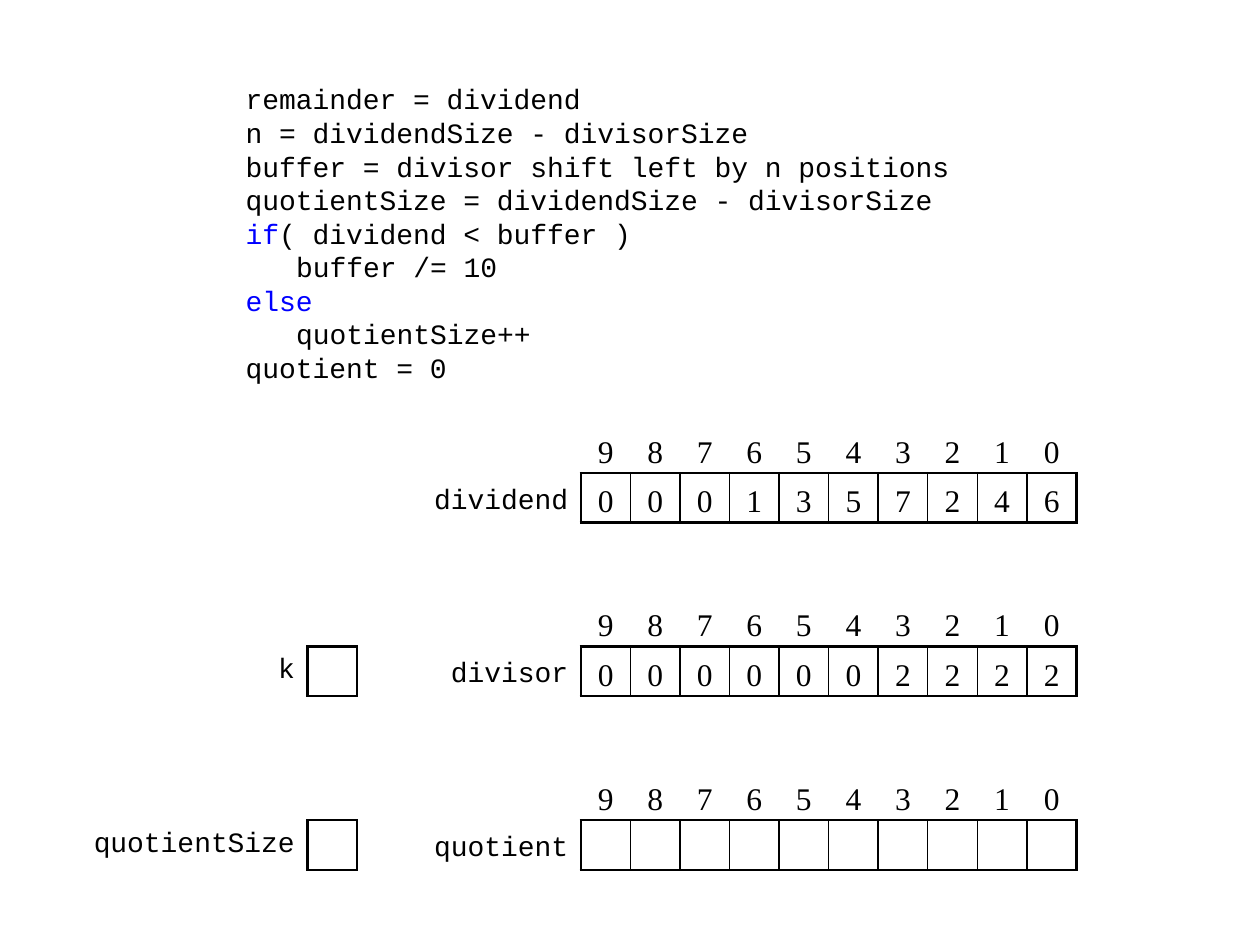
from lxml import etree
from pptx import Presentation
from pptx.dml.color import RGBColor
from pptx.enum.text import MSO_ANCHOR, PP_ALIGN
from pptx.oxml.ns import qn
from pptx.util import Inches, Pt

CENTER, RIGHT = PP_ALIGN.CENTER, PP_ALIGN.RIGHT
TOP, MIDDLE = MSO_ANCHOR.TOP, MSO_ANCHOR.MIDDLE
COLORS = {"ink": "000000", "keyword": "0000FF"}
CODE_FONT, DIGIT_FONT = "Courier New", "Times New Roman"
PLAIN_TABLE = "{2D5ABB26-0587-4C30-8999-92F81FD0307C}"

CELL = 1 / 2.54  # one centimetre, in inches
DIGITS = 10
THICK, THIN = 1.5, 1
REGISTER_LEFT, REGISTER_TOP, REGISTER_STEP = 4.61, 3.36, 3.5 * CELL
COUNTER_LEFT = 2.44

# Each line: indent level, keyword, remaining text
CODE = [
    (0, "", "remainder = dividend"),
    (0, "", "n = dividendSize - divisorSize"),
    (0, "", "buffer = divisor shift left by n positions"),
    (0, "", "quotientSize = dividendSize - divisorSize"),
    (0, "if", "( dividend < buffer )"),
    (1, "", "buffer /= 10"),
    (0, "else", ""),
    (1, "", "quotientSize++"),
    (0, "", "quotient = 0"),
]
# Each register: name, width of its name column, digits
REGISTERS = [
    ("dividend", 1.38, "0001357246"),
    ("divisor", 1.18, "0000002222"),
    ("quotient", 1.38, " " * DIGITS),
]
# Each counter: name, width of its name column, register it stands beside
COUNTERS = [("k", CELL, 1), ("quotientSize", 1.77, 2)]


def style_font(font, name, size, color="ink"):
    """Set face, size and colour of a font."""
    font.name, font.size = name, Pt(size)
    font.color.rgb = RGBColor.from_string(COLORS[color])


def add_code(page, left, top, width, height):
    """Fill the body placeholder with the listing."""
    body = page.placeholders[1]
    body.left, body.top = Inches(left), Inches(top)
    body.width, body.height = Inches(width), Inches(height)
    frame = body.text_frame
    frame.word_wrap, frame.vertical_anchor = True, TOP
    for number, (level, keyword, rest) in enumerate(CODE):
        para = frame.add_paragraph() if number else frame.paragraphs[0]
        para.space_before, para.line_spacing = Pt(0), Pt(19.2)
        style_font(para.font, CODE_FONT, 16)
        properties = para._p.get_or_add_pPr()
        properties.set("marL", str(Inches(0.4 * level)))
        properties.set("indent", "0")
        properties.insert_element_before(
            etree.Element(qn("a:buNone")), "a:tabLst", "a:defRPr", "a:extLst")
        for text, color in ((keyword, "keyword"), (rest, "ink")):
            if text:
                span = para.add_run()
                span.text = text
                style_font(span.font, CODE_FONT, 16, color)


def add_plain_table(page, left, top, rows, widths):
    """Add a table without grid or fill, with rows one cell high."""
    table = page.shapes.add_table(
        rows, len(widths), Inches(left), Inches(top),
        Inches(sum(widths)), Inches(rows * CELL)).table
    table._tbl.tblPr.find(qn("a:tableStyleId")).text = PLAIN_TABLE
    table.first_row = table.horz_banding = False
    for row in table.rows:
        row.height = Inches(CELL)
    for column, width in zip(table.columns, widths):
        column.width = Inches(width)
    for cell in table.iter_cells():
        fill_cell(cell, "", DIGIT_FONT, 18, CENTER)
    return table


def fill_cell(cell, text, font, size, align, spacing=1.25):
    """Write one line into a cell, centred vertically."""
    cell.margin_left = cell.margin_right = 0
    cell.margin_top = cell.margin_bottom = 0
    cell.vertical_anchor = MIDDLE
    cell.fill.background()
    para = cell.text_frame.paragraphs[0]
    para.alignment, para.line_spacing = align, spacing
    style_font(para.font, font, size)
    if text:
        span = para.add_run()
        span.text = text
        style_font(span.font, font, size)


def fill_name(cell, name, spacing=1.25):
    """Write a variable name, set off from the box at its right."""
    fill_cell(cell, name, CODE_FONT, 16, RIGHT, spacing)
    cell.margin_right = Inches(0.1)


def border_cell(cell, left=THICK, right=THICK):
    """Draw the four borders of a cell; top and bottom are thick."""
    properties = cell._tc.get_or_add_tcPr()
    widths = {"a:lnL": left, "a:lnR": right, "a:lnT": THICK, "a:lnB": THICK}
    for place, (tag, width) in enumerate(widths.items()):
        line = etree.Element(qn(tag), w=str(Pt(width)))
        fill = etree.SubElement(line, qn("a:solidFill"))
        etree.SubElement(fill, qn("a:srgbClr"), val=COLORS["ink"])
        properties.insert(place, line)


def add_register(page, left, top, name, name_width, digits):
    """Add a named row of digit cells under its position numbers."""
    table = add_plain_table(
        page, left - name_width, top, 2, [name_width] + [CELL] * DIGITS)
    fill_name(table.cell(1, 0), name)
    for column, digit in enumerate(digits, start=1):
        position = str(DIGITS - column)
        fill_cell(table.cell(0, column), position, DIGIT_FONT, 18, CENTER)
        box = table.cell(1, column)
        fill_cell(box, digit.strip(), DIGIT_FONT, 18, CENTER)
        border_cell(box, THICK if column == 1 else THIN,
                    THICK if column == DIGITS else THIN)


def add_counter(page, left, top, name, name_width):
    """Add a name with one empty box to its right."""
    table = add_plain_table(page, left - name_width, top, 1, [name_width, CELL])
    fill_name(table.cell(0, 0), name, 1.0)
    border_cell(table.cell(0, 1))


def build_division_page(deck):
    """Add the page with the listing, the registers and the counters."""
    page = deck.slides.add_slide(deck.slide_layouts[1])
    title = page.shapes.title
    title._element.getparent().remove(title._element)
    add_code(page, 1.85, 0.6, 6.3, 2.56)
    tops = [REGISTER_TOP + REGISTER_STEP * i for i in range(len(REGISTERS))]
    for top, register in zip(tops, REGISTERS):
        add_register(page, REGISTER_LEFT, top, *register)
    for name, name_width, beside in COUNTERS:
        add_counter(page, COUNTER_LEFT, tops[beside] + CELL, name, name_width)


deck = Presentation()
deck.slide_width, deck.slide_height = Inches(10), Inches(7.5)
build_division_page(deck)
deck.save("out.pptx")
